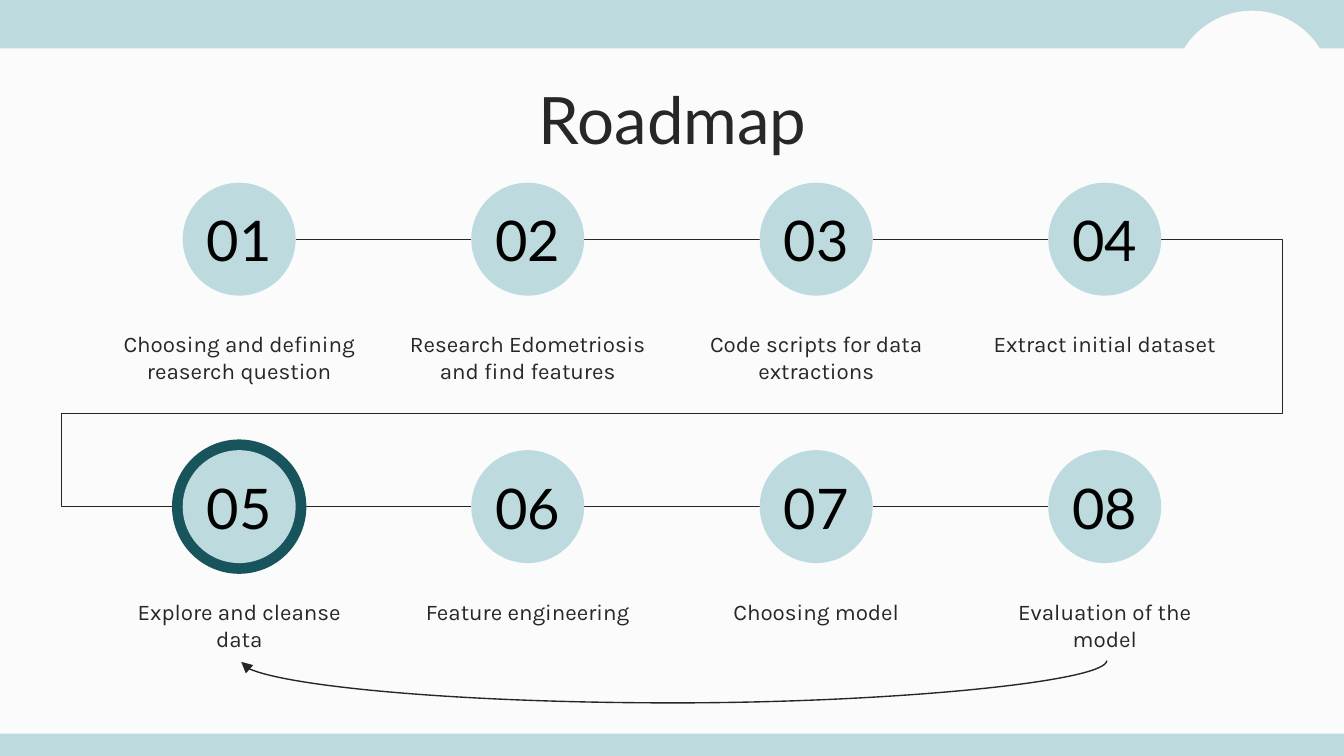
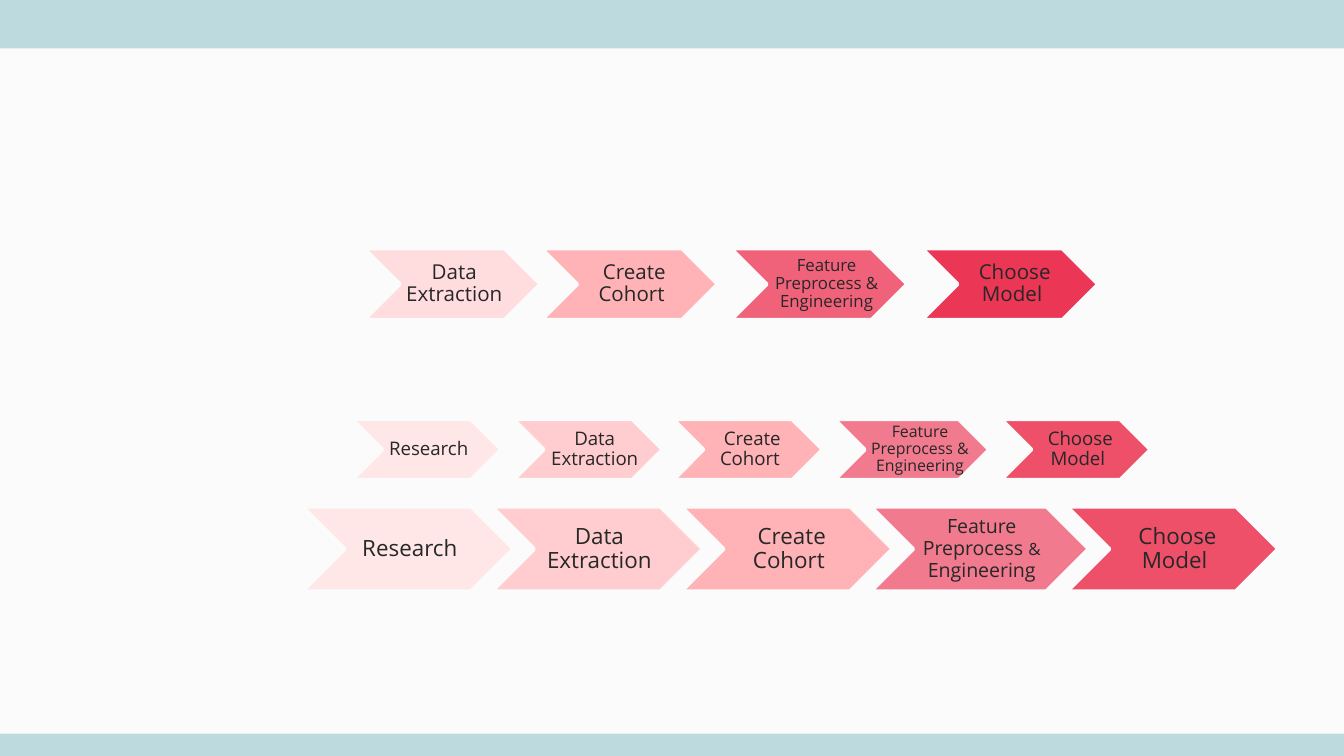
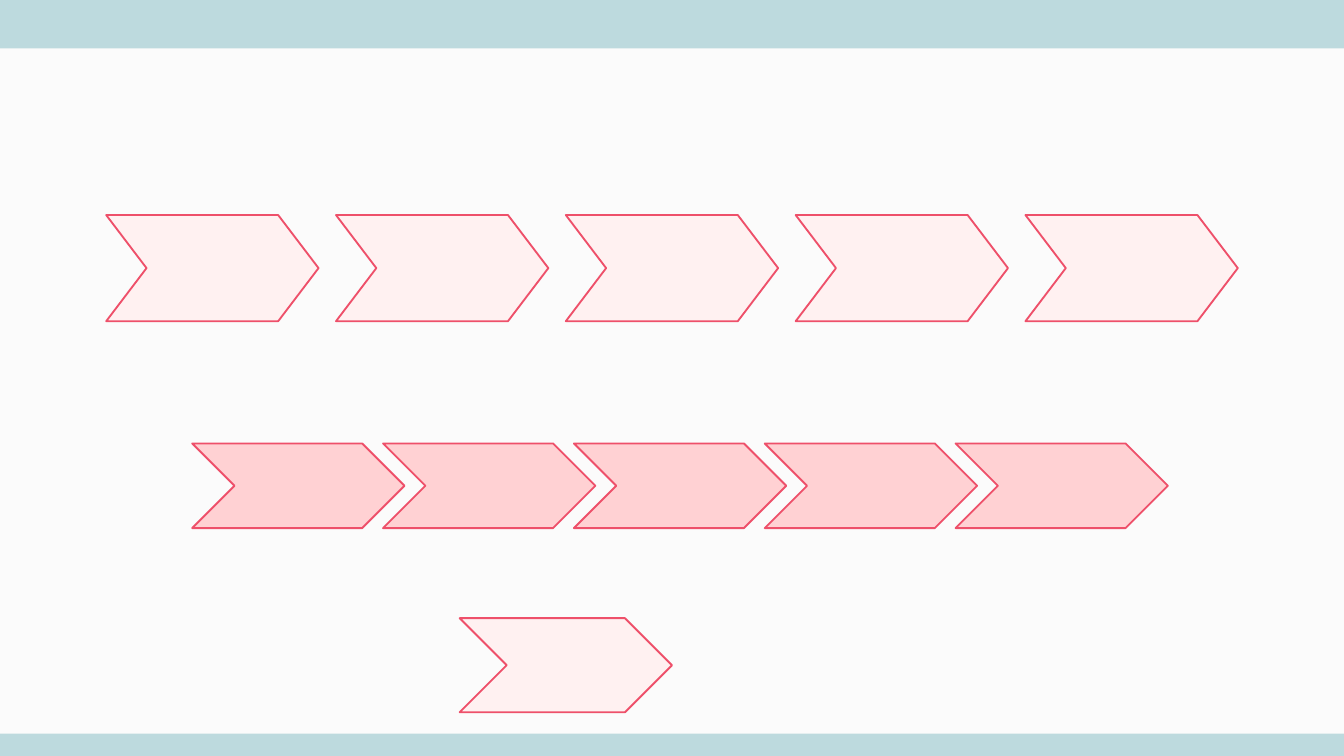
import dataclasses

import lxml.etree
import pptx
import pptx.dml.color
import pptx.enum.shapes
import pptx.enum.text
import pptx.oxml.ns
import pptx.util

Inches = pptx.util.Inches
Pt = pptx.util.Pt
SHAPES = pptx.enum.shapes.MSO_SHAPE
CONNECTORS = pptx.enum.shapes.MSO_CONNECTOR
ANCHORS = pptx.enum.text.MSO_ANCHOR

PAPER, BAND, INK, SPINE, RING = "FBFBFB", "BDDADE", "272727", "262626", "18545B"
BLUSH, ROSE, CORAL = "FFF1F1", "FFD1D3", "EE506A"
TITLE_LAYOUT, BLANK_LAYOUT = 5, 6

STAGES = (
    ("Choosing and defining reaserch question", "Research Edometriosis and find features",
     "Code scripts for data extractions", "Extract initial dataset"),
    ("Explore and cleanse data", "Feature engineering", "Choosing model",
     "Evaluation of the model"),
)
FEATURE = "Feature Preprocess & Engineering"
EXTRACTION, COHORT, MODEL = "Data Extraction", " Create Cohort", " Choose Model"


@dataclasses.dataclass
class Box:
    left: float
    top: float
    width: float
    height: float

    def lengths(self):
        return [Inches(v) for v in (self.left, self.top, self.width, self.height)]


@dataclasses.dataclass
class Step:
    """One chevron; label is a string or a list of (text, size) runs."""
    fill: str
    label: object = ""
    size: float = 0
    wider: float = 0
    label_wider: float = 0


def rgb(value):
    return pptx.dml.color.RGBColor.from_string(value)


def apply(target, values):
    for name, value in values.items():
        setattr(target, name, value)


def write(frame, runs, font, color, anchor=ANCHORS.TOP, insets=(0.1, 0.1, 0.1, 0.1), **spacing):
    """Fill a text frame with one centred paragraph of (text, size) runs."""
    sides = ("margin_left", "margin_top", "margin_right", "margin_bottom")
    apply(frame, {"word_wrap": True, "auto_size": pptx.enum.text.MSO_AUTO_SIZE.NONE,
                  "vertical_anchor": anchor, **dict(zip(sides, map(Inches, insets)))})
    paragraph = frame.paragraphs[0]
    apply(paragraph, {"alignment": pptx.enum.text.PP_ALIGN.CENTER, **spacing})
    for text, size in runs:
        run = paragraph.add_run()
        run.text = text
        apply(run.font, {"name": font, "size": Pt(size)})
        run.font.color.rgb = rgb(color)


def add_figure(shapes, preset, box, fill, outline=None, weight=1):
    figure = shapes.add_shape(preset, *box.lengths())
    figure.shadow.inherit = False
    figure.fill.solid()
    figure.fill.fore_color.rgb = rgb(fill)
    if outline:
        figure.line.color.rgb = rgb(outline)
        figure.line.width = Pt(weight)
    else:
        figure.line.fill.background()
    return figure


def add_path(slide, kind, start, end, color, preset=None, bends=()):
    """Draw a connector; bends are the preset's adjustments as fractions."""
    connector = slide.shapes.add_connector(kind, *map(Inches, (*start, *end)))
    connector.line.color.rgb = rgb(color)
    connector.line.width = Pt(0.75)
    properties = connector._element.spPr
    lxml.etree.SubElement(properties, pptx.oxml.ns.qn("a:effectLst"))
    geometry = properties.find(pptx.oxml.ns.qn("a:prstGeom"))
    if preset:
        geometry.set("prst", preset)
    guides = geometry.find(pptx.oxml.ns.qn("a:avLst"))
    for number, bend in enumerate(bends, 1):
        lxml.etree.SubElement(guides, pptx.oxml.ns.qn("a:gd"), name=f"adj{number}",
                              fmla=f"val {round(bend * 100000)}")
    return connector


def dress_master(deck, slide):
    """Put the background and both bands on the master, behind its placeholders."""
    master = deck.slide_master
    master.background.fill.solid()
    master.background.fill.fore_color.rgb = rgb(PAPER)
    for box in (Box(0, 0, 10, 0.36), Box(0, 5.46, 10, 0.17)):
        band = add_figure(slide.shapes, SHAPES.RECTANGLE, box, BAND)
        master.shapes._spTree.insert(2, band._element)


def add_title(slide, box, text):
    title = slide.shapes.title
    apply(title, dict(zip(("left", "top", "width", "height"), box.lengths())))
    write(title.text_frame, [(text, 35)], "Lato", INK)


def add_stage(slide, box, number, caption, current):
    """Place a numbered disc in the box and its caption below."""
    center_x, center_y = box.left + box.width / 2, box.top + box.height / 2
    if current:
        add_figure(slide.shapes, SHAPES.OVAL, Box(center_x - 0.5, center_y - 0.5, 1, 1), RING)
    disc = add_figure(slide.shapes, SHAPES.OVAL, box, BAND)
    write(disc.text_frame, [(f"{number:02}", 30)], "Lato", "000000",
          ANCHORS.MIDDLE, (0, 0, 0, 0))
    note = slide.shapes.add_textbox(*Box(center_x - 0.99, box.top + 1, 1.98, 0.56).lengths())
    write(note.text_frame, [(caption, 12)], "Karla", INK)


def add_stages(slide, box, disc=0.84, current=5):
    """Spread the discs so that the outer ones touch the edges of the box."""
    pitch_x = (box.width - disc) / (len(STAGES[0]) - 1)
    pitch_y = box.height - disc
    middle = box.top + disc / 2
    right = box.left + box.width
    add_path(slide, CONNECTORS.ELBOW, (right, middle), (box.left, middle + pitch_y), SPINE,
             "bentConnector5", (-0.124, 0.652, 1.124))
    for row, captions in enumerate(STAGES):
        top = box.top + row * pitch_y
        lefts = [box.left + column * pitch_x for column in range(len(captions))]
        for left, following in zip(lefts, lefts[1:]):
            add_path(slide, CONNECTORS.STRAIGHT, (left + disc, top + disc / 2),
                     (following, top + disc / 2), INK)
        for number, (left, caption) in enumerate(zip(lefts, captions), row * len(captions) + 1):
            add_stage(slide, Box(left, top, disc, disc), number, caption, number == current)


def add_return_arrow(slide, box):
    """Curve from the top right of the box down and back to its top left."""
    x, y = box.left + box.width / 2, box.top - box.width / 2
    drop = 0.01
    arrow = add_path(slide, CONNECTORS.CURVE, (x, y), (x + drop, y + box.width), SPINE,
                     bends=(box.height / drop,))
    arrow._element.spPr.find(pptx.oxml.ns.qn("a:xfrm")).set("rot", "5400000")
    lxml.etree.SubElement(arrow.line._get_or_add_ln(), pptx.oxml.ns.qn("a:tailEnd"),
                          type="triangle")


def add_chevrons(slide, box, steps, gaps, outline, weight, insets=None, point=0.5):
    """Line up chevrons from the box, which is the first one, with the given gaps."""
    row = slide.shapes.add_group_shape()
    left = box.left
    for step, gap in zip(steps, (*gaps, 0)):
        width = box.width + step.wider
        chevron = add_figure(row.shapes, SHAPES.CHEVRON, Box(left, box.top, width, box.height),
                             step.fill, outline, weight)
        chevron.adjustments[0] = point
        if step.label:
            area = Box(left + box.height / 2, box.top,
                       width - box.height + step.label_wider, box.height)
            label = row.shapes.add_textbox(*area.lengths())
            runs = [(step.label, step.size)] if isinstance(step.label, str) else step.label
            write(label.text_frame, runs, "Open Sans", INK, ANCHORS.MIDDLE, insets,
                  line_spacing=0.9, space_after=Pt(0.35 * runs[0][1]))
        left += width + gap


def build_roadmap(slide):
    add_title(slide, Box(0.79, 0.49, 8.43, 0.63), "Roadmap")
    add_stages(slide, Box(1.36, 1.36, 7.28, 2.83))
    add_figure(slide.shapes, SHAPES.OVAL, Box(8.72, 0.08, 1.19, 1.19), PAPER)
    add_return_arrow(slide, Box(1.79, 4.92, 6.44, 0.32))


def build_pipelines(slide):
    small, large = (0.04, 0.01, 0.01, 0.01), (0.05, 0.02, 0.02, 0.02)
    shades = ("FFE7E8", "FFCDCF", "FFB3B7", "F27A8E", CORAL)
    mixed_feature = [("Feature Preprocess ", 10.5), ("&", 9), (" ", 11), ("Engineering", 10.5)]
    short = (Step("FFDDDF", EXTRACTION, 11), Step("FFB3B7", COHORT, 11),
             Step("F0627A", FEATURE, 9, label_wider=0.08), Step("EC3655", MODEL, 11))
    middle = [Step(shade, label, 10) for shade, label in
              zip(shades, ("Research", EXTRACTION, COHORT, FEATURE, MODEL))]
    apply(middle[1], {"label_wider": 0.07})
    apply(middle[3], {"size": 8.5, "wider": 0.04, "label_wider": 0.09})
    wide = [dataclasses.replace(step, size=12, label_wider=0) for step in middle]
    apply(wide[3], {"label": mixed_feature, "wider": 0.05})
    for box, steps, gaps, insets in (
        (Box(2.25, 3.77, 1.57, 0.63), wide, (-0.16,) * 4, large),
        (Box(2.71, 1.85, 1.31, 0.53), short, (0.01, 0.1, 0.11), small),
        (Box(2.62, 3.12, 1.11, 0.45), middle, (0.09, 0.08, 0.09, 0.09), small),
    ):
        add_chevrons(slide, box, steps, gaps, PAPER, 2, insets)


def build_blank_chevrons(slide):
    for box, fill, count, gap, point in (
        (Box(1.43, 3.3, 1.58, 0.63), ROSE, 5, -0.16, 0.5),
        (Box(3.42, 4.6, 1.58, 0.7), BLUSH, 1, 0, 0.5),
        (Box(0.79, 1.6, 1.58, 0.79), BLUSH, 5, 0.13, 0.38),
    ):
        add_chevrons(slide, box, [Step(fill)] * count, (gap,) * (count - 1), CORAL, 1,
                     point=point)


def main():
    deck = pptx.Presentation()
    width = Inches(10)
    apply(deck, {"slide_width": width, "slide_height": width * 9 // 16})
    pages = ((TITLE_LAYOUT, build_roadmap), (BLANK_LAYOUT, build_pipelines),
             (BLANK_LAYOUT, build_blank_chevrons))
    for layout, build in pages:
        slide = deck.slides.add_slide(deck.slide_layouts[layout])
        build(slide)
    dress_master(deck, deck.slides[0])
    deck.save("out.pptx")


if __name__ == "__main__":
    main()
